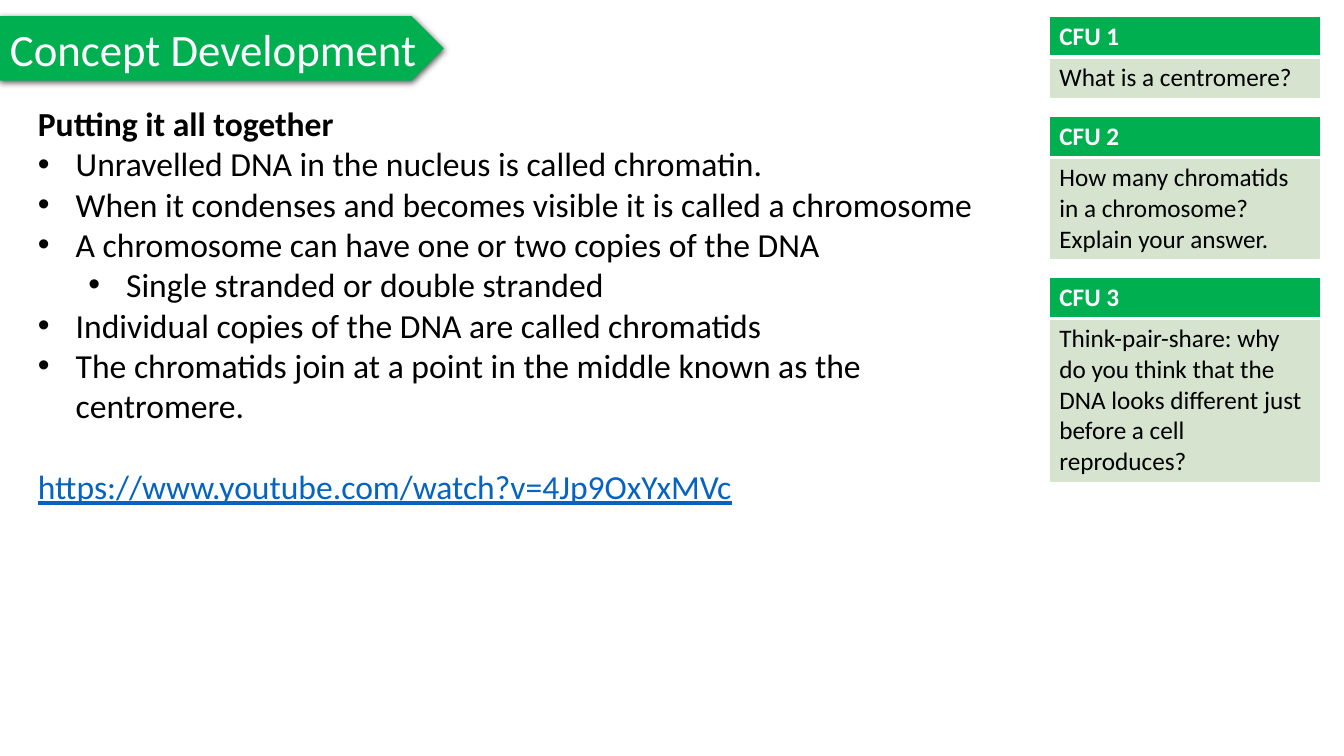
"""Build the Concept Development slide with its notes and CFU question cards."""

from dataclasses import dataclass

import pptx
import pptx.dml.color
import pptx.enum.shapes
import pptx.enum.text
import pptx.oxml
import pptx.oxml.ns
import pptx.slide
import pptx.text.text
import pptx.util

Pt = pptx.util.Pt
RGB = pptx.dml.color.RGBColor


@dataclass(frozen=True)
class Theme:
    font: str = "Calibri"
    green: str = "00B050"
    pale: str = "D5E3CF"
    white: str = "FFFFFF"
    black: str = "000000"
    link: str = "0563C1"
    title: float = 32
    body: float = 24
    card: float = 18


@dataclass(frozen=True)
class Line:
    text: str
    level: int | None = None
    bold: bool = False
    under: bool = False
    color: str = Theme.black
    before: float = 0


@dataclass(frozen=True)
class Card:
    head: str
    text: str
    rows: int


THEME = Theme()
LINES = [
    Line("Putting it all together", bold=True),
    Line("Unravelled DNA in the nucleus is called chromatin.", 0),
    Line("When it condenses and becomes visible it is called a chromosome", 0),
    Line("A chromosome can have one or two copies of the DNA", 0),
    Line("Single stranded or double stranded", 1),
    Line("Individual copies of the DNA are called chromatids", 0),
    Line("The chromatids join at a point in the middle known as the centromere.", 0),
    Line("https://www.youtube.com/watch?v=4Jp9OxYxMVc",
         under=True, color=THEME.link, before=29),
]
CARDS = [
    Card("CFU 1", "What is a centromere?", 1),
    Card("CFU 2", "How many chromatids in a chromosome? Explain your answer.", 3),
    Card("CFU 3", "Think-pair-share: why do you think that the DNA looks "
                  "different just before a cell reproduces?", 5),
]


def node(xml: str):
    """Parse a fragment whose root lies in the drawing namespace."""
    space = pptx.oxml.ns.nsdecls("a")
    head, tail = xml.split(">", 1)
    close = "/" if head.endswith("/") else ""
    return pptx.oxml.parse_xml(f"{head.rstrip('/')} {space}{close}>{tail}")


def add_run(para: pptx.text.text._Paragraph, text: str, size: float, color: str,
            bold: bool = False, under: bool = False) -> None:
    """Add one styled run to a paragraph."""
    run = para.add_run()
    run.text = text
    font = run.font
    font.name, font.size, font.bold = THEME.font, Pt(size), bold
    font.color.rgb = RGB.from_string(color)
    if under:
        font.underline = True


def draw_title(slide: pptx.slide.Slide) -> None:
    """Draw the green title arrow with its soft shadow."""
    shape = slide.shapes.add_shape(
        pptx.enum.shapes.MSO_SHAPE.PENTAGON, Pt(0), Pt(11.5), Pt(317), Pt(46))
    shape.fill.solid()
    shape.fill.fore_color.rgb = RGB.from_string(THEME.green)
    shape.line.fill.background()
    shape.shadow.inherit = False
    glow = shape.element.spPr.find(pptx.oxml.ns.qn("a:effectLst"))
    glow.append(node(
        f'<a:outerShdw blurRad="{Pt(4.5)}" dist="{Pt(1.5)}" dir="5400000" '
        f'rotWithShape="0"><a:srgbClr val="{THEME.black}">'
        '<a:alpha val="63000"/></a:srgbClr></a:outerShdw>'))
    frame = shape.text_frame
    frame.word_wrap = False
    para = frame.paragraphs[0]
    para.alignment = pptx.enum.text.PP_ALIGN.LEFT
    add_run(para, "Concept Development", THEME.title, THEME.white)


def draw_notes(slide: pptx.slide.Slide, lines: list[Line]) -> None:
    """Draw the bulleted notes and the web address."""
    frame = slide.shapes.add_textbox(Pt(20), Pt(70), Pt(698), Pt(298)).text_frame
    frame.word_wrap = True
    for spot, line in enumerate(lines):
        para = frame.add_paragraph() if spot else frame.paragraphs[0]
        if line.level is not None:
            para.level = line.level
            props = para._p.get_or_add_pPr()
            props.set("marL", str(Pt(27 + 36 * line.level)))
            props.set("indent", str(Pt(-27)))
            props.append(node('<a:buFont typeface="Arial"/>'))
            props.append(node('<a:buChar char="•"/>'))
        if line.before:
            para.space_before = Pt(line.before)
        add_run(para, line.text, THEME.body, line.color, line.bold, line.under)


def draw_card(slide: pptx.slide.Slide, card: Card, top: float) -> float:
    """Draw one question card and return its height."""
    sizes = (28.4, 8 + 21.6 * card.rows)
    table = slide.shapes.add_table(
        2, 1, Pt(749.5), Pt(top), Pt(194), Pt(sum(sizes))).table
    table.horz_banding = False
    styles = (
        (card.head, THEME.green, THEME.white, True, "B"),
        (card.text, THEME.pale, THEME.black, False, "T"),
    )
    for row, (text, fill, color, bold, thick) in enumerate(styles):
        table.rows[row].height = Pt(sizes[row])
        cell = table.cell(row, 0)
        props = cell._tc.get_or_add_tcPr()
        for side in "LRTB":
            width = Pt(3 if side == thick else 1)
            props.append(node(
                f'<a:ln{side} w="{width}"><a:solidFill>'
                f'<a:srgbClr val="{THEME.white}"/></a:solidFill></a:ln{side}>'))
        cell.fill.solid()
        cell.fill.fore_color.rgb = RGB.from_string(fill)
        add_run(cell.text_frame.paragraphs[0], text, THEME.card, color, bold)
    return sum(sizes)


def main() -> None:
    """Assemble and save the slide."""
    deck = pptx.Presentation()
    deck.slide_width, deck.slide_height = Pt(960), Pt(540)
    slide = deck.slides.add_slide(deck.slide_layouts[6])
    draw_title(slide)
    top = 11.5
    for card in CARDS:
        top += draw_card(slide, card, top) + 13.8
    draw_notes(slide, LINES)
    deck.save("out.pptx")


if __name__ == "__main__":
    main()
